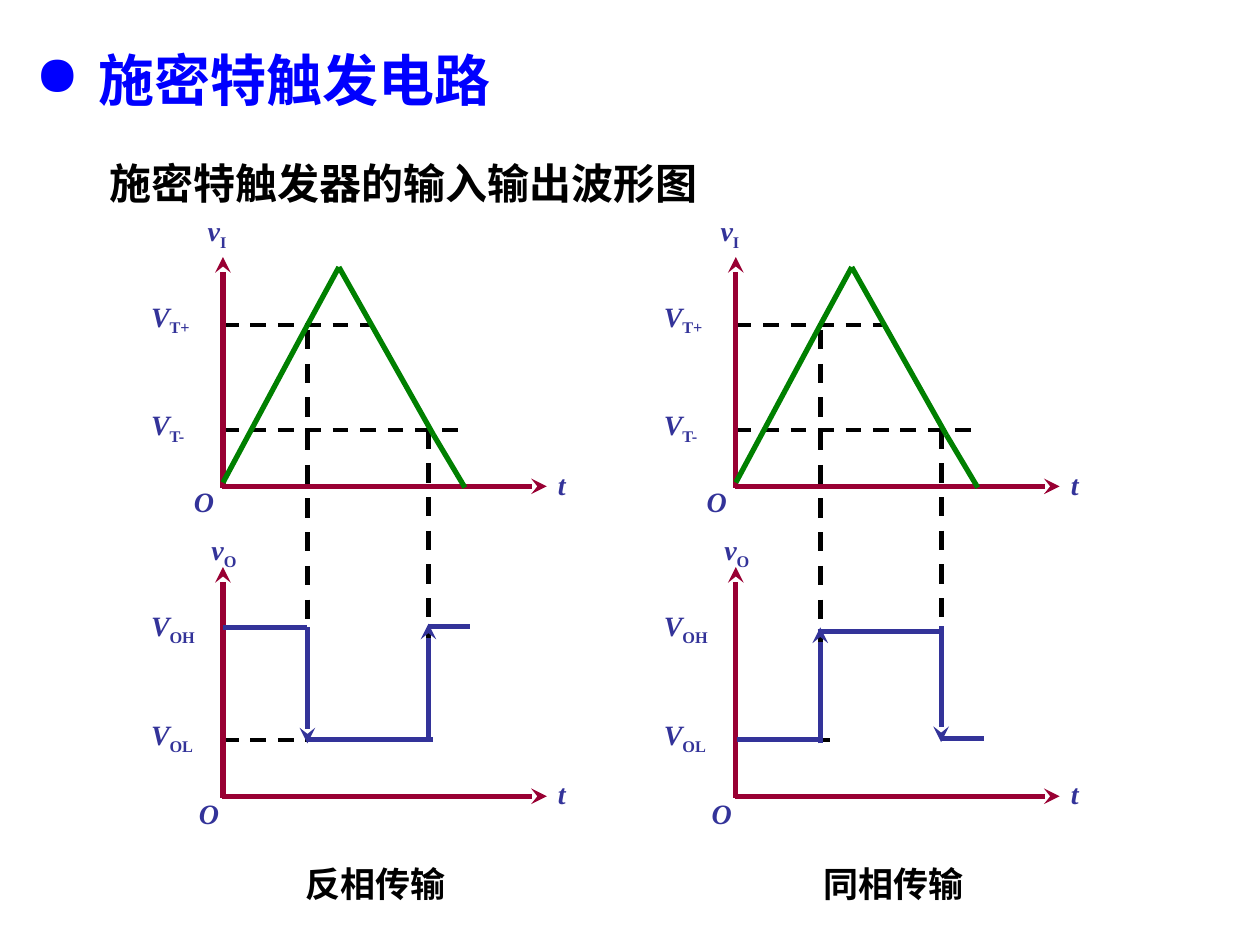
import itertools
import pptx
import pptx.util
import pptx.dml.color
import pptx.enum.dml
import pptx.enum.shapes
import pptx.enum.text
import pptx.oxml.ns
import lxml.etree

COLORS = {"axis": "990033", "input": "008000", "output": "333399", "guide": "000000",
          "text": "000000", "label": "333399", "title": "0000FF", "paper": "FFFFFF"}
LATIN, CHINESE = "Times New Roman", "Noto Sans CJK SC"
GRID_COLUMNS, GRID_ROWS = 100, 75

TITLE = "施密特触发电路"
HEADING = "施密特触发器的输入输出波形图"
LABEL_SIZE = (7.5, 3.7)
LABELS = [
    ("v", "I", -2.2, 16.6), ("V", "T+", -6.7, 23.4), ("V", "T-", -6.7, 32),
    ("O", "", -3.3, 37.9), ("t", "", 25.6, 36.6),
    ("v", "O", -1.9, 41.9), ("V", "OH", -6.7, 48), ("V", "OL", -6.7, 56.6),
    ("O", "", -2.9, 62.7), ("t", "", 25.6, 61.1),
]
VERTICAL_GUIDES = [((6.7, 26.2), (6.7, 57)), ((16.3, 34.1), (16.3, 58.3))]
LEVEL_GUIDES = [((0, 25.8), (11.7, 25.8)), ((0, 34.1), (19.2, 34.1)), ((0, 58.7), (7.5, 58.7))]
AXIS_ROWS = [(20.4, 38.6), (45, 63.2)]
TRIANGLE = [(0, 38.3), (6.7, 25.8), (9.2, 21.2), (16.7, 34.5), (19.2, 38.7)]
PANELS = [
    {"axis": 17.7, "caption": "反相传输", "caption_column": 16.9,
     "levels": [((0, 49.8), (6.7, 49.8)), ((6.7, 58.7), (16.7, 58.7)), ((16.3, 49.7), (19.6, 49.7))],
     "jumps": [((6.7, 49.8), (6.7, 59)), ((16.3, 58.7), (16.3, 49.5))]},
    {"axis": 58.4, "caption": "同相传输", "caption_column": 58,
     "levels": [((0.1, 58.7), (6.8, 58.7)), ((6.5, 50.1), (16.5, 50.1)), ((16.4, 58.6), (19.7, 58.6))],
     "jumps": [((6.7, 59), (6.7, 49.8)), ((16.3, 49.7), (16.3, 58.9))]},
]

presentation = pptx.Presentation()
presentation.slide_width = pptx.util.Inches(10)
presentation.slide_height = pptx.util.Inches(7.5)
slide = presentation.slides.add_slide(presentation.slide_layouts[6])


def column(value):
    return round(presentation.slide_width * value / GRID_COLUMNS)


def row(value):
    return round(presentation.slide_height * value / GRID_ROWS)


def color(name):
    return pptx.dml.color.RGBColor.from_string(COLORS[name])


def add_element(parent, tag, **attributes):
    return lxml.etree.SubElement(parent, pptx.oxml.ns.qn(tag), **attributes)


def add_line(origin, start, end, color_name, width=3, dashed=False, arrow=False):
    connector = slide.shapes.add_connector(
        pptx.enum.shapes.MSO_CONNECTOR.STRAIGHT,
        column(origin + start[0]), row(start[1]), column(origin + end[0]), row(end[1]))
    connector.line.color.rgb = color(color_name)
    connector.line.width = pptx.util.Pt(width)
    if dashed:
        connector.line.dash_style = pptx.enum.dml.MSO_LINE.DASH
    if arrow:
        add_element(connector.line._get_or_add_ln(), "a:tailEnd", type="stealth")
    add_element(connector._element.spPr, "a:effectLst")


def prepare_text(shape, alignment):
    frame = shape.text_frame
    frame.word_wrap = True
    frame.auto_size = pptx.enum.text.MSO_AUTO_SIZE.SHAPE_TO_FIT_TEXT
    frame.vertical_anchor = pptx.enum.text.MSO_ANCHOR.MIDDLE
    paragraph = frame.paragraphs[0]
    paragraph.alignment = alignment
    return paragraph


def add_text_box(left, top, width, height, alignment):
    box = slide.shapes.add_textbox(column(left), row(top), column(width), row(height))
    return prepare_text(box, alignment)


def add_run(paragraph, text, size, color_name, font=LATIN, italic=False, subscript=False):
    run = paragraph.add_run()
    run.text = text
    run.font.name = font
    run.font.size = pptx.util.Pt(size)
    run.font.bold = True
    run.font.italic = italic
    run.font.color.rgb = color(color_name)
    properties = run.font._element
    add_element(properties, "a:ea", typeface=CHINESE)
    if subscript:
        properties.set("baseline", "-25000")


def add_panel(panel):
    axis = panel["axis"]
    for start, end in VERTICAL_GUIDES:
        add_line(axis, start, end, "guide", 2.75, dashed=True)
    for start, end in LEVEL_GUIDES:
        add_line(axis, start, end, "guide", 2.25, dashed=True)
    for top, bottom in AXIS_ROWS:
        add_line(axis, (0, bottom + 0.1), (0, top), "axis", arrow=True)
        add_line(axis, (-0.1, bottom), (25.7, bottom), "axis", arrow=True)
    for start, end in itertools.pairwise(TRIANGLE):
        add_line(axis, start, end, "input")
    for start, end in panel["levels"]:
        add_line(axis, start, end, "output")
    for start, end in panel["jumps"]:
        add_line(axis, start, end, "output", arrow=True)
    for symbol, index, left, top in LABELS:
        paragraph = add_text_box(axis + left, top, *LABEL_SIZE, pptx.enum.text.PP_ALIGN.LEFT)
        add_run(paragraph, symbol, 16, "label", italic=True)
        if index:
            add_run(paragraph, index, 16, "label", subscript=True)
    paragraph = add_text_box(panel["caption_column"], 67.9, 25.8, 4.4, pptx.enum.text.PP_ALIGN.CENTER)
    add_run(paragraph, panel["caption"], 20, "text")


def add_paper(left, top, width, height):
    shape = slide.shapes.add_shape(pptx.enum.shapes.MSO_SHAPE.RECTANGLE,
                                   column(left), row(top), column(width), row(height))
    shape.shadow.inherit = False
    shape.fill.solid()
    shape.fill.fore_color.rgb = color("paper")
    shape.line.fill.background()
    return shape


def add_title():
    add_paper(0.2, 0, 99.1, 11.1)
    paragraph = prepare_text(add_paper(1.8, 2, 73, 7.5), pptx.enum.text.PP_ALIGN.LEFT)
    paragraph.line_spacing = 1.2
    paragraph.space_after = pptx.util.Pt(3)
    properties = paragraph._p.get_or_add_pPr()
    properties.set("marL", str(column(5)))
    properties.set("indent", str(-column(5)))
    add_element(properties, "a:buChar", char="●")
    add_run(paragraph, TITLE, 32, "title", CHINESE)


for panel in PANELS:
    add_panel(panel)
heading = add_text_box(7.7, 12, 80.8, 5, pptx.enum.text.PP_ALIGN.JUSTIFY)
add_run(heading, HEADING, 24, "text", CHINESE)
add_title()
presentation.save("out.pptx")
